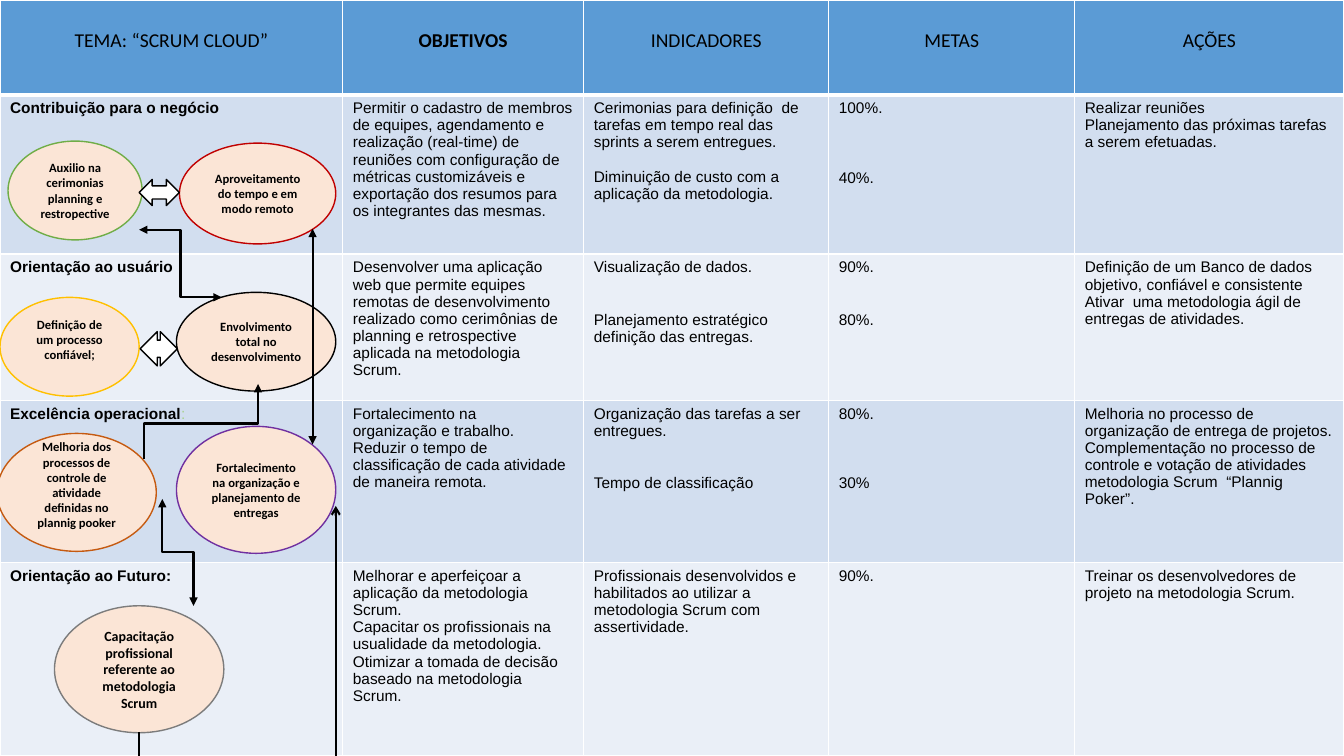
import pptx
import pptx.dml.color
import pptx.enum.shapes
import pptx.enum.text
import pptx.oxml
import pptx.oxml.ns
import pptx.util
from lxml import etree

Inches = pptx.util.Inches
Pt = pptx.util.Pt
RGBColor = pptx.dml.color.RGBColor
qn = pptx.oxml.ns.qn
MSO_SHAPE = pptx.enum.shapes.MSO_SHAPE
MSO_CONNECTOR = pptx.enum.shapes.MSO_CONNECTOR
CENTER = pptx.enum.text.PP_ALIGN.CENTER
MIDDLE = pptx.enum.text.MSO_ANCHOR.MIDDLE

BLACK = RGBColor(0x00, 0x00, 0x00)
WHITE = RGBColor(0xFF, 0xFF, 0xFF)
HEADER_BLUE = RGBColor(0x5B, 0x9B, 0xD5)
BAND_DARK = RGBColor(0xD2, 0xDE, 0xEF)
BAND_LIGHT = RGBColor(0xEA, 0xEF, 0xF7)
PEACH = RGBColor(0xFB, 0xE5, 0xD6)
GREEN = RGBColor(0x70, 0xAD, 0x47)
PALE_GREEN = RGBColor(0xA9, 0xD1, 0x8E)
RED = RGBColor(0xC0, 0x00, 0x00)
GOLD = RGBColor(0xFF, 0xC0, 0x00)
RUST = RGBColor(0xC5, 0x5A, 0x11)
PURPLE = RGBColor(0x70, 0x30, 0xA0)
GRAY = RGBColor(0x7C, 0x7C, 0x7C)

COLUMN_WIDTHS = [3.4, 2.39, 2.43, 2.44, 2.67]
ROW_HEIGHTS = [0.94, 1.58, 1.45, 1.61, 1.92]
BODY_LINE = 12.5
HEADINGS = ["TEMA: “SCRUM CLOUD”", "OBJETIVOS", "INDICADORES", "METAS", "AÇÕES"]

# Numbers between paragraphs are gaps measured in body lines.
PERSPECTIVES = [
    [["Contribuição para o negócio"],
     ["Permitir o cadastro de membros de equipes, agendamento e realização (real-time) de "
      "reuniões com configuração de métricas customizáveis e exportação dos resumos para "
      "os integrantes das mesmas."],
     ["Cerimonias para definição  de tarefas em tempo real das sprints a serem entregues.", 1,
      "Diminuição de custo com a aplicação da metodologia."],
     ["100%.", 3, "40%."],
     ["Realizar reuniões", "Planejamento das próximas tarefas a serem efetuadas."]],
    [["Orientação ao usuário"],
     ["Desenvolver uma aplicação web que permite equipes remotas de desenvolvimento realizado "
      "como cerimônias de planning e retrospective aplicada na metodologia Scrum."],
     ["Visualização de dados.", 2, "Planejamento estratégico definição das entregas."],
     ["90%.", 2, "80%."],
     ["Definição de um Banco de dados objetivo, confiável e consistente",
      "Ativar  uma metodologia ágil de entregas de atividades."]],
    [["Excelência operacional"],
     ["Fortalecimento na", "organização e trabalho.",
      "Reduzir o tempo de classificação de cada atividade", "de maneira remota."],
     ["Organização das tarefas a ser entregues.", 2, "Tempo de classificação"],
     ["80%.", 3, "30%"],
     ["Melhoria no processo de organização de entrega de projetos.",
      "Complementação no processo de controle e votação de atividades  metodologia Scrum  "
      "“Plannig Poker”."]],
    [["Orientação ao Futuro:"],
     ["Melhorar e aperfeiçoar a aplicação da metodologia Scrum.",
      "Capacitar os profissionais na usualidade da metodologia.",
      "Otimizar a tomada de decisão baseado na metodologia Scrum."],
     ["Profissionais desenvolvidos e habilitados ao utilizar a metodologia Scrum com "
      "assertividade."],
     ["90%."],
     ["Treinar os desenvolvedores de projeto na metodologia Scrum."]],
]

GOALS = [
    ((0.08, 1.4, 1.33, 0.98), GREEN, "Auxilio na cerimonias planning e restropective", 9, 0),
    ((1.78, 1.42, 1.55, 1), RED, "Aproveitamento do tempo e em modo remoto", 9, 0),
    ((0, 2.95, 1.38, 0.98), GOLD, "Definição de um processo confiável;", 9, 0.15),
    ((1.75, 2.9, 1.58, 0.98), BLACK, "Envolvimento total no desenvolvimento", 9, 0),
    ((-0.03, 4.3, 1.58, 1.17), RUST,
     "Melhoria dos processos de controle de atividade definidas no plannig pooker", 9, 0.15),
    ((1.75, 4.23, 1.58, 1.26), PURPLE,
     "Fortalecimento na organização e planejamento de entregas", 9, 0),
    ((0.54, 6.01, 1.68, 1.26), GRAY,
     "Capacitação profissional referente ao metodologia Scrum", 10, 0),
]


def format_run(run, font, size, bold=False, color=BLACK):
    run.font.name = font
    run.font.size = Pt(size)
    run.font.bold = bold
    run.font.color.rgb = color


def paint_cell(cell, fill, bottom_width=1):
    properties = cell._tc.get_or_add_tcPr()
    for side, width in (("L", 1), ("R", 1), ("T", 1), ("B", bottom_width)):
        border = etree.SubElement(properties, qn(f"a:ln{side}"), w=str(Pt(width)))
        solid = etree.SubElement(border, qn("a:solidFill"))
        etree.SubElement(solid, qn("a:srgbClr"), val=str(WHITE))
    cell.fill.solid()
    cell.fill.fore_color.rgb = fill


def write_heading(cell, heading):
    paint_cell(cell, HEADER_BLUE, 3)
    cell.margin_top = Inches(0.29)
    cell.text_frame.text = heading
    paragraph = cell.text_frame.paragraphs[0]
    paragraph.alignment = CENTER
    format_run(paragraph.runs[0], "Calibri", 14, heading == "OBJETIVOS")


def write_body(cell, content, fill, bold):
    paint_cell(cell, fill)
    cell.text_frame.text = "\n".join(item for item in content if isinstance(item, str))
    paragraphs = iter(cell.text_frame.paragraphs)
    gap = 0
    for item in content:
        if isinstance(item, int):
            gap = item
            continue
        paragraph = next(paragraphs)
        paragraph.space_before = Pt(gap * BODY_LINE)
        gap = 0
        format_run(paragraph.runs[0], "Arial", 11, bold)


def add_scorecard(slide):
    scorecard = slide.shapes.add_table(
        len(ROW_HEIGHTS), len(COLUMN_WIDTHS), 0, 0, Inches(13.33), Inches(7.5)).table
    for column, width in zip(scorecard.columns, COLUMN_WIDTHS):
        column.width = Inches(width)
    for row, height in zip(scorecard.rows, ROW_HEIGHTS):
        row.height = Inches(height)
    for column, heading in enumerate(HEADINGS):
        write_heading(scorecard.cell(0, column), heading)
    for row, perspective in enumerate(PERSPECTIVES, start=1):
        fill = BAND_DARK if row % 2 else BAND_LIGHT
        for column, content in enumerate(perspective):
            write_body(scorecard.cell(row, column), content, fill, column == 0)
    colon = scorecard.cell(3, 0).text_frame.paragraphs[0].add_run()
    colon.text = ":"
    format_run(colon, "Arial", 11, color=PALE_GREEN)


def add_outlined(slide, kind, box, fill, outline):
    shape = slide.shapes.add_shape(kind, *map(Inches, box))
    shape.shadow.inherit = False
    shape.fill.solid()
    shape.fill.fore_color.rgb = fill
    shape.line.color.rgb = outline
    shape.line.width = Pt(1)
    return shape


def add_goal(slide, box, outline, wording, size, lift):
    frame = add_outlined(slide, MSO_SHAPE.OVAL, box, PEACH, outline).text_frame
    frame.word_wrap = True
    frame.vertical_anchor = MIDDLE
    frame.margin_bottom = Inches(0.05 + lift)
    frame.text = wording
    frame.paragraphs[0].alignment = CENTER
    format_run(frame.paragraphs[0].runs[0], "Calibri", size, True)


def add_link(slide, start, end, bend=None, vertical=True, head=None, tail="triangle"):
    (x1, y1), (x2, y2) = start, end
    turned = bend is not None and vertical
    if turned:
        middle_x, middle_y = (x1 + x2) / 2, (y1 + y2) / 2
        half_x, half_y = (y2 - y1) / 2, (x1 - x2) / 2
        x1, y1 = middle_x - half_x, middle_y - half_y
        x2, y2 = middle_x + half_x, middle_y + half_y
    kind = MSO_CONNECTOR.STRAIGHT if bend is None else MSO_CONNECTOR.ELBOW
    link = slide.shapes.add_connector(kind, *map(Inches, (x1, y1, x2, y2)))
    link.line.color.rgb = BLACK
    link.line.width = Pt(1.5)
    properties = link._element.spPr
    if turned:
        properties.find(qn("a:xfrm")).set("rot", "5400000")
    if bend is not None:
        guides = properties.find(qn("a:prstGeom")).find(qn("a:avLst"))
        etree.SubElement(guides, qn("a:gd"), name="adj1", fmla=f"val {round(bend * 100000)}")
    line = properties.find(qn("a:ln"))
    for end_name, arrowhead in (("headEnd", head), ("tailEnd", tail)):
        if arrowhead:
            etree.SubElement(line, qn(f"a:{end_name}"), type=arrowhead)
    etree.SubElement(properties, qn("a:effectLst"))


def main():
    presentation = pptx.Presentation()
    presentation.slide_width = Inches(13.33)
    presentation.slide_height = Inches(7.5)
    slide = presentation.slides.add_slide(presentation.slide_layouts[6])
    add_scorecard(slide)
    for goal in GOALS:
        add_goal(slide, *goal)
    add_link(slide, (1.38, 7.26), (3.33, 5.02), -0.11, tail="arrow")
    add_link(slide, (1.92, 6.01), (1.61, 4.95), 0.5, head="triangle")
    add_link(slide, (1.43, 4.55), (2.56, 3.81), 0.47)
    add_link(slide, (2.2, 2.95), (1.38, 2.28), 0.5, vertical=False, head="triangle")
    add_link(slide, (3.1, 4.41), (3.1, 2.27), head="triangle")
    for box in ((1.39, 3.29, 0.37, 0.34), (1.38, 1.78, 0.4, 0.26)):
        add_outlined(slide, MSO_SHAPE.LEFT_RIGHT_ARROW, box, WHITE, BLACK)
    presentation.save("out.pptx")


main()
